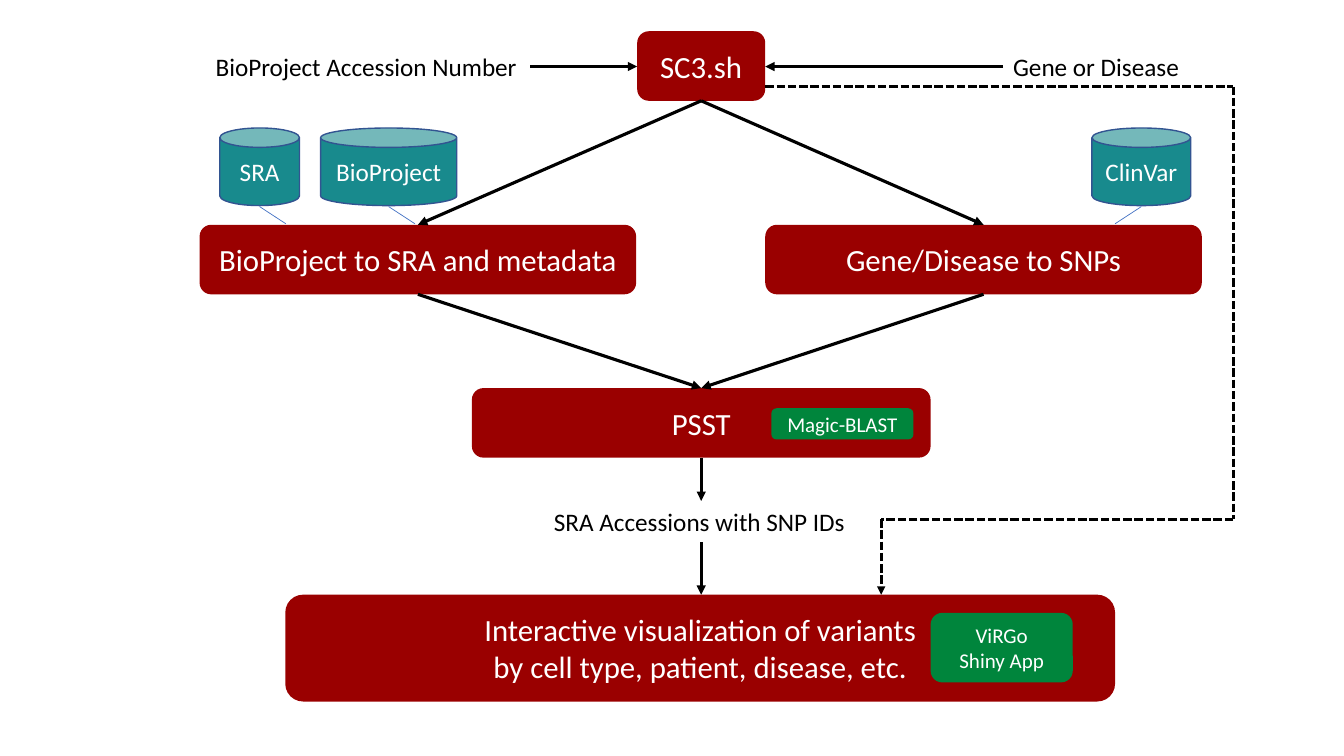
import pptx
import pptx.util
import pptx.dml.color
import pptx.enum.dml
import pptx.enum.shapes
import pptx.enum.text
import pptx.oxml
import pptx.oxml.ns

Inches = pptx.util.Inches
Shapes = pptx.enum.shapes.MSO_SHAPE
TOP, BOTTOM = 0, 2
RED, GREEN, TEAL = "9A0000", "00853C", "188A8D"
WHITE, BLACK, OUTLINE, LINK = "FFFFFF", "000000", "325491", "4472C4"
ROW_HEIGHT = 0.69


def rgb(value):
    return pptx.dml.color.RGBColor.from_string(value)


def write_text(shape, text, size, color, align):
    frame = shape.text_frame
    frame.text = text
    frame.vertical_anchor = pptx.enum.text.MSO_ANCHOR.MIDDLE
    for paragraph in frame.paragraphs:
        paragraph.alignment = align
        for run in paragraph.runs:
            run.font.name = "Calibri"
            run.font.size = pptx.util.Pt(size)
            run.font.color.rgb = rgb(color)


def add_block(slide, box, text, fill=RED, size=22, kind=Shapes.ROUNDED_RECTANGLE, line=None):
    shape = slide.shapes.add_shape(kind, *map(Inches, box))
    shape.shadow.inherit = False
    shape.fill.solid()
    shape.fill.fore_color.rgb = rgb(fill)
    if line:
        shape.line.color.rgb = rgb(line)
        shape.line.width = pptx.util.Pt(1)
    else:
        shape.line.fill.background()
    frame = shape.text_frame
    frame.word_wrap = True
    frame.margin_left = frame.margin_right = Inches(0.05)
    write_text(shape, text, size, WHITE, pptx.enum.text.PP_ALIGN.CENTER)
    return shape


def add_label(slide, box, text):
    label = slide.shapes.add_textbox(*map(Inches, box))
    label.text_frame.word_wrap = False
    write_text(label, text, 18, BLACK, pptx.enum.text.PP_ALIGN.LEFT)


def add_line(slide, start, end, color=BLACK, width=2.25, arrow=True, dashed=False):
    connector = slide.shapes.add_connector(
        pptx.enum.shapes.MSO_CONNECTOR.STRAIGHT, *map(Inches, (*start, *end)))
    connector.line.color.rgb = rgb(color)
    connector.line.width = pptx.util.Pt(width)
    if dashed:
        connector.line.dash_style = pptx.enum.dml.MSO_LINE.SQUARE_DOT
    properties = connector._element.spPr
    if arrow:
        namespace = pptx.oxml.ns.nsdecls("a")
        head = pptx.oxml.parse_xml(f'<a:tailEnd {namespace} type="triangle"/>')
        connector.line._get_or_add_ln().append(head)
    properties.append(pptx.oxml.parse_xml(f'<a:effectLst {pptx.oxml.ns.nsdecls("a")}/>'))
    return connector


def join_blocks(slide, source, target):
    connector = add_line(slide, (0, 0), (1, 1))
    connector.begin_connect(source, BOTTOM)
    connector.end_connect(target, TOP)


def draw_entry(slide, left, top, width):
    label_top = top + 0.15
    arrow_y = top + 0.35
    block_left = left + 4.28
    block_right = block_left + 1.27
    add_label(slide, (left, label_top, 3.22, 0.4), "BioProject Accession Number")
    add_label(slide, (left + width - 1.87, label_top, 1.87, 0.4), "Gene or Disease")
    add_line(slide, (left + 3.22, arrow_y), (block_left, arrow_y))
    add_line(slide, (left + width - 1.87, arrow_y), (block_right, arrow_y))
    return add_block(slide, (block_left, top, 1.27, ROW_HEIGHT), "SC3.sh")


def draw_lookup(slide, left, top, text, databases):
    for name, offset, width, lean in databases:
        can_left = left + offset
        center = can_left + width / 2
        add_block(slide, (can_left, top, width, 0.77), name, TEAL, 18, Shapes.CAN, OUTLINE)
        add_line(slide, (center, top + 0.78), (center + lean, top + 0.95), LINK, 0.5, False)
    return add_block(slide, (left, top + 0.96, 4.33, ROW_HEIGHT), text)


def draw_search(slide, left, top, width):
    search = add_block(slide, (left, top, width, ROW_HEIGHT), "PSST")
    add_block(slide, (left + 2.97, top + 0.2, 1.41, 0.31), "Magic-BLAST", GREEN, 15)
    center = left + width / 2
    add_line(slide, (center, top + ROW_HEIGHT), (center, top + 1.12))
    add_label(slide, (center - 1.56, top + 1.12, 3.12, 0.4), "SRA Accessions with SNP IDs")
    add_line(slide, (center, top + 1.53), (center, top + 2.05))
    return search


def draw_result(slide, left, top, width):
    add_block(slide, (left, top, width, 1.06),
              "Interactive visualization of variants\nby cell type, patient, disease, etc.")
    add_block(slide, (left + 6.4, top + 0.18, 1.41, ROW_HEIGHT), "ViRGo\nShiny App", GREEN, 15)


def draw_bypass(slide, left, top, width, height):
    right, turn_x, turn_y = left + width, left + 1.15, top + 4.29
    corners = [(left, top), (right, top), (right, turn_y),
               (turn_x, turn_y), (turn_x, top + height)]
    for index, (start, end) in enumerate(zip(corners, corners[1:])):
        add_line(slide, start, end, width=2, arrow=index == len(corners) - 2, dashed=True)


presentation = pptx.Presentation()
presentation.slide_width = Inches(13.33)
presentation.slide_height = Inches(7.5)
slide = presentation.slides.add_slide(presentation.slide_layouts[6])

entry = draw_entry(slide, 2.04, 0.31, 9.78)
lookups = [
    draw_lookup(slide, 1.98, 1.27, "BioProject to SRA and metadata",
                [("SRA", 0.2, 0.79, 0.26), ("BioProject", 1.2, 1.35, 0.26)]),
    draw_lookup(slide, 7.59, 1.27, "Gene/Disease to SNPs", [("ClinVar", 3.24, 0.98, -0.26)]),
]
search = draw_search(slide, 4.68, 3.85, 4.55)
draw_result(slide, 2.83, 5.9, 8.23)
for lookup in lookups:
    join_blocks(slide, entry, lookup)
    join_blocks(slide, lookup, search)
draw_bypass(slide, 7.59, 0.86, 4.64, 5.04)

presentation.save("out.pptx")
